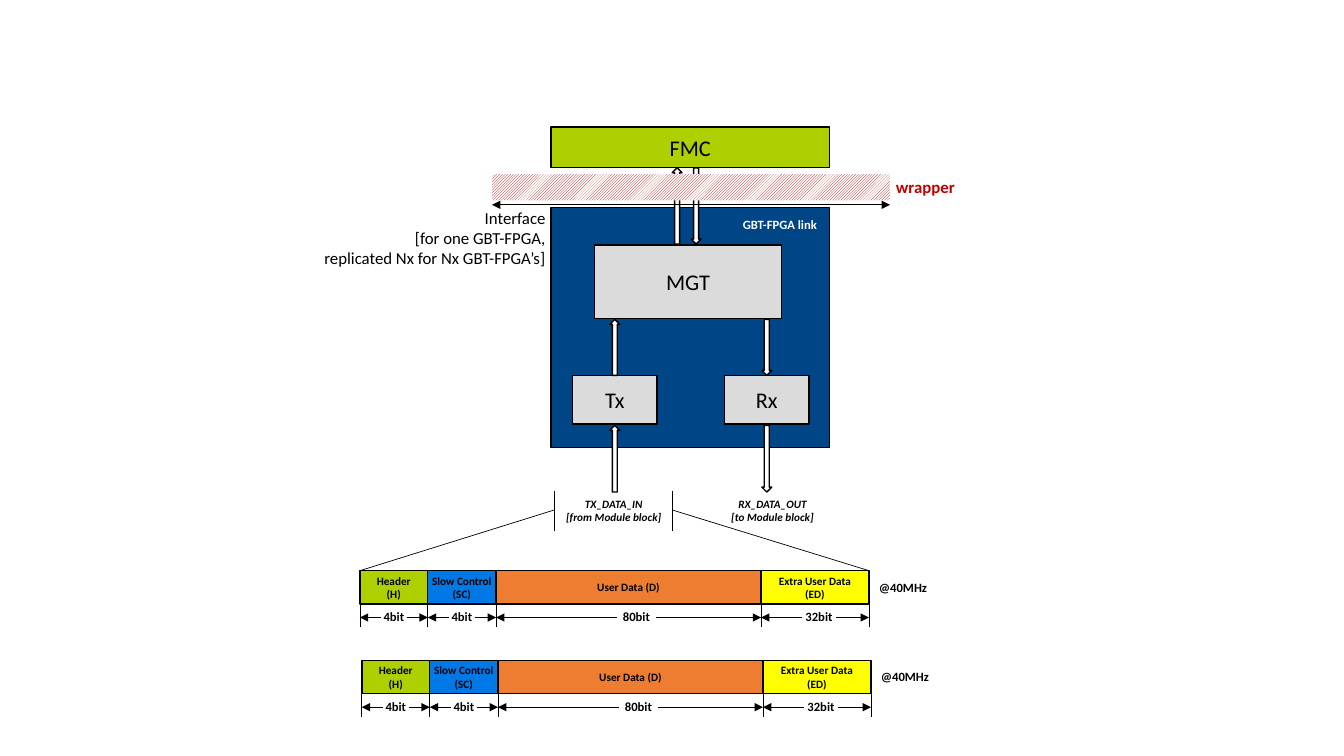
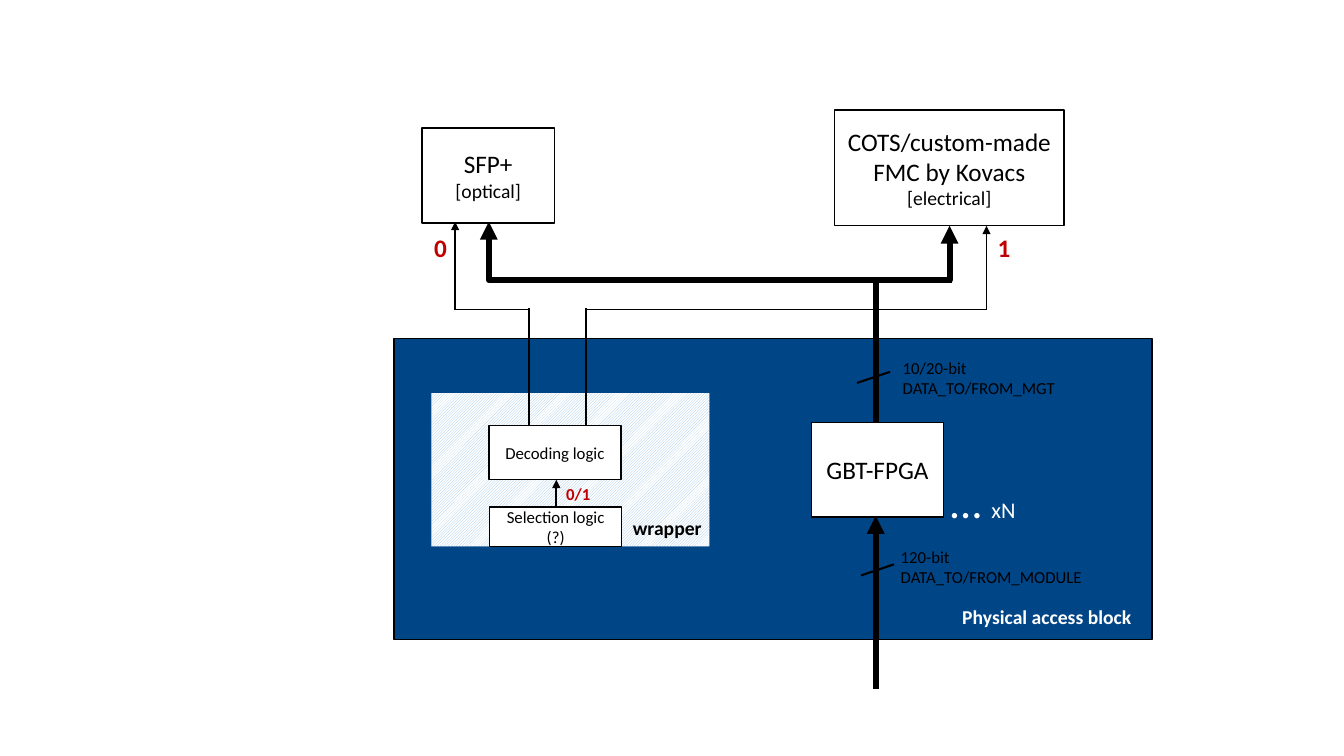
from dataclasses import dataclass

from lxml import etree
from pptx import Presentation
from pptx.dml.color import RGBColor
from pptx.enum.dml import MSO_PATTERN
from pptx.enum.shapes import MSO_CONNECTOR, MSO_SHAPE
from pptx.enum.text import MSO_ANCHOR, MSO_AUTO_SIZE, PP_ALIGN
from pptx.oxml.ns import qn
from pptx.util import Cm, Pt

RECT, UP, DOWN = MSO_SHAPE.RECTANGLE, MSO_SHAPE.UP_ARROW, MSO_SHAPE.DOWN_ARROW
LEFT, MID, RIGHT = PP_ALIGN.LEFT, PP_ALIGN.CENTER, PP_ALIGN.RIGHT
LIGHT = MSO_PATTERN.LIGHT_UPWARD_DIAGONAL
DARK = MSO_PATTERN.DARK_UPWARD_DIAGONAL
CENTRE = MSO_ANCHOR.MIDDLE
GROW = MSO_AUTO_SIZE.SHAPE_TO_FIT_TEXT
LINE, ELBOW = MSO_CONNECTOR.STRAIGHT, MSO_CONNECTOR.ELBOW


@dataclass(frozen=True)
class Theme:
    font: str = "Calibri"
    black: str = "000000"
    white: str = "FFFFFF"
    navy: str = "004586"
    grey: str = "DBDBDB"
    lime: str = "AECF00"
    blue: str = "0078E6"
    orange: str = "ED7D31"
    yellow: str = "FFFF00"
    red: str = "C00000"
    sky: str = "9DC3E6"
    tiny: int = 8
    small: int = 9
    note: int = 12
    label: int = 14
    block: int = 16
    head: int = 18
    dots: int = 32
    hair: float = 0.5
    edge: float = 1
    wire: float = 1.25
    slash: float = 1.5
    bus: float = 4.25


T = Theme()
FIELDS = (
    ("Header\n(H)", "4bit", T.lime, 1.71, 0, 0.32),
    ("Slow Control\n(SC)", "4bit", T.blue, 1.72, 0, 0.32),
    ("User Data (D)", "80bit", T.orange, 6.68, 0.2, 0.5),
    ("Extra User Data\n(ED)", "32bit", T.yellow, 2.72, 0.1, 0.43),
)


def tint(code):
    return RGBColor.from_string(code)


class Deck:
    def __init__(self):
        self.show = Presentation()
        self.show.slide_width, self.show.slide_height = Cm(33.87), Cm(19.05)
        self.slide = None

    def page(self):
        self.slide = self.show.slides.add_slide(self.show.slide_layouts[6])

    def style(self, frame, text, sizes, hue, align, bold=False, slant=False):
        frame.text = text
        for i, para in enumerate(frame.paragraphs):
            para.alignment = align
            font = para.font
            font.name, font.bold, font.italic = T.font, bold, slant
            font.size = Pt(sizes[min(i, len(sizes) - 1)])
            font.color.rgb = tint(hue)

    def text(self, x, y, w, h, text, size, hue=T.black, align=LEFT, bold=False, slant=False):
        box = self.slide.shapes.add_textbox(Cm(x), Cm(y), Cm(w), Cm(h))
        frame = box.text_frame
        frame.word_wrap = False
        frame.auto_size = GROW
        self.style(frame, text, (size,), hue, align, bold, slant)
        return frame

    def shape(self, kind, x, y, w, h, fill=T.white):
        item = self.slide.shapes.add_shape(kind, Cm(x), Cm(y), Cm(w), Cm(h))
        item.shadow.inherit = False
        item.fill.solid()
        item.fill.fore_color.rgb = tint(fill)
        item.line.color.rgb = tint(T.black)
        item.line.width = Pt(T.edge)
        return item

    def box(self, x, y, w, h, fill, text="", *sizes, bold=False, tight=False):
        frame = self.shape(RECT, x, y, w, h, fill).text_frame
        frame.vertical_anchor = CENTRE
        frame.word_wrap = not tight
        if tight:
            frame.margin_left = frame.margin_right = 0
            frame.margin_top = frame.margin_bottom = 0
        if text:
            self.style(frame, text, sizes, T.black, MID, bold)

    def hatch(self, x, y, w, h, kind, hue):
        item = self.shape(RECT, x, y, w, h)
        item.fill.patterned()
        item.fill.pattern = kind
        item.fill.fore_color.rgb = tint(hue)
        item.fill.back_color.rgb = tint(T.white)
        item.line.fill.background()

    def line(self, x1, y1, x2, y2, width, ends="", bent=False):
        kind = ELBOW if bent else LINE
        item = self.slide.shapes.add_connector(kind, Cm(x1), Cm(y1), Cm(x2), Cm(y2))
        item.line.color.rgb = tint(T.black)
        item.line.width = Pt(width)
        props = item._element.spPr
        if bent:
            props.find(qn("a:prstGeom")).set("prst", "bentConnector2")
        for end in ends.split():
            etree.SubElement(props.find(qn("a:ln")), qn(f"a:{end}End"), type="triangle")
        etree.SubElement(props, qn("a:effectLst"))

    def frame(self, x, y):
        base, mark = y + 0.84, y + 1.18
        self.line(x, base, x, y + 1.42, T.hair)
        for name, bits, fill, wide, shift, half in FIELDS:
            self.box(x, y, wide, 0.84, fill, name, T.tiny, bold=True, tight=True)
            mid, edge = x + wide / 2 + shift, x + wide
            self.line(edge, base, edge, y + 1.42, T.hair)
            self.text(mid - 0.6, base, 1.2, 0.64, bits, T.small, align=MID, bold=True)
            self.line(mid - half, mark, x, mark, T.hair, "tail")
            self.line(mid + half, mark, edge, mark, T.hair, "tail")
            x = edge
        self.text(x, y + 0.1, 1.73, 0.64, "@40MHz", T.small, bold=True)


def link(deck):
    deck.page()
    deck.box(13.89, 5.23, 7.01, 6.05, T.navy)
    deck.box(13.89, 3.2, 7.01, 1.02, T.lime, "FMC", T.block)
    deck.box(14.99, 6.17, 4.7, 1.85, T.grey, "MGT", T.block)
    for x, name in ((14.43, "Tx"), (18.26, "Rx")):
        deck.box(x, 9.47, 2.13, 1.22, T.grey, name, T.block)
    for kind, x in ((UP, 15.37), (DOWN, 19.2)):
        for y, tall in ((8.05, 1.41), (10.72, 1.68)):
            deck.shape(kind, x, y, 0.25, tall)
    for kind, x in ((UP, 16.94), (DOWN, 17.42)):
        deck.shape(kind, x, 4.23, 0.25, 1.92)
    deck.text(18.47, 5.33, 2.44, 0.64, "GBT-FPGA link", T.small, T.white, bold=True)
    for x, wide, text in (
        (13.97, 3, "TX_DATA_IN\n[from Module block]"),
        (18.16, 2.62, "RX_DATA_OUT\n[to Module block]"),
    ):
        deck.text(x, 12.4, wide, 0.94, text, T.tiny, align=MID, bold=True, slant=True)
    deck.hatch(12.4, 4.39, 10.03, 0.66, LIGHT, T.red)
    deck.line(12.4, 5.16, 22.43, 5.16, T.hair, "head tail")
    deck.text(22.33, 4.32, 2.01, 0.76, "wrapper", T.note, T.red, bold=True)
    deck.text(7.8, 5.11, 6.2, 1.8,
              "Interface\n[for one GBT-FPGA,\nreplicated Nx for Nx GBT-FPGA’s]",
              T.note, align=RIGHT)
    for x, end in ((13.97, 9.07), (16.94, 21.9)):
        deck.line(x, 12.36, x, 13.38, T.hair)
        deck.line(x, 12.85, end, 14.38, T.hair)
    deck.frame(9.07, 14.38)
    deck.frame(9.12, 16.64)


def access(deck):
    deck.page()
    deck.box(9.93, 8.53, 19.1, 7.59, T.navy)
    deck.hatch(10.87, 9.91, 7.01, 3.86, DARK, T.sky)
    for x, y, w, h, text, *sizes in (
        (20.45, 10.64, 3.33, 2.39, "GBT-FPGA", T.head),
        (10.64, 3.23, 3.33, 2.39, "SFP+\n[optical]", T.head, T.label),
        (21.03, 2.77, 5.79, 2.92, "COTS/custom-made FMC by Kovacs\n[electrical]",
         T.head, T.label),
        (12.34, 12.78, 3.33, 0.99, "Selection logic (?)", T.note),
        (12.32, 10.72, 3.33, 1.37, "Decoding logic", T.note),
    ):
        deck.box(x, y, w, h, T.white, text, *sizes)
    deck.line(22.07, 17.35, 22.07, 13, T.bus, "tail")
    deck.line(22.07, 10.64, 22.07, 6.99, T.bus)
    deck.line(18.42, 7.06, 23.93, 5.69, T.bus, "tail", bent=True)
    deck.line(24, 7.06, 12.32, 5.59, T.bus, "tail", bent=True)
    deck.line(14.02, 12.78, 14.02, 12.09, T.wire, "tail")
    for start, end, top in ((13.34, 11.47, 5.59), (14.76, 24.86, 5.69)):
        deck.line(start, 10.72, start, 7.75, T.wire)
        deck.line(start, 7.8, end, 7.8, T.wire)
        deck.line(end, 7.8, end, top, T.wire, "tail")
    for x, y in ((22.53, 14.22), (22.43, 9.37)):
        deck.line(x, y, x - 0.83, y + 0.28, T.slash)
    deck.text(22.45, 13.64, 5.13, 1.27, "120-bit\nDATA_TO/FROM_MODULE", T.note)
    deck.text(22.5, 8.89, 4.39, 1.27, "10/20-bit\nDATA_TO/FROM_MGT", T.note)
    deck.text(24, 15.11, 4.83, 0.86, "Physical access block", T.label, T.white, bold=True)
    deck.text(15.7, 12.88, 2.26, 0.86, "wrapper", T.label, bold=True)
    count = deck.text(23.7, 11.81, 2.18, 1.63, "… ", T.dots, T.white)
    run = count.paragraphs[0].add_run()
    run.text = "xN"
    run.font.size = Pt(T.block)
    for x, digit in ((10.69, "0"), (24.89, "1")):
        deck.text(x, 5.72, 0.84, 1.02, digit, T.head, T.red, bold=True)
    deck.text(14.02, 12.07, 1.14, 0.76, "0/1", T.note, T.red, bold=True)


def main():
    deck = Deck()
    link(deck)
    access(deck)
    deck.show.save("out.pptx")


if __name__ == "__main__":
    main()
